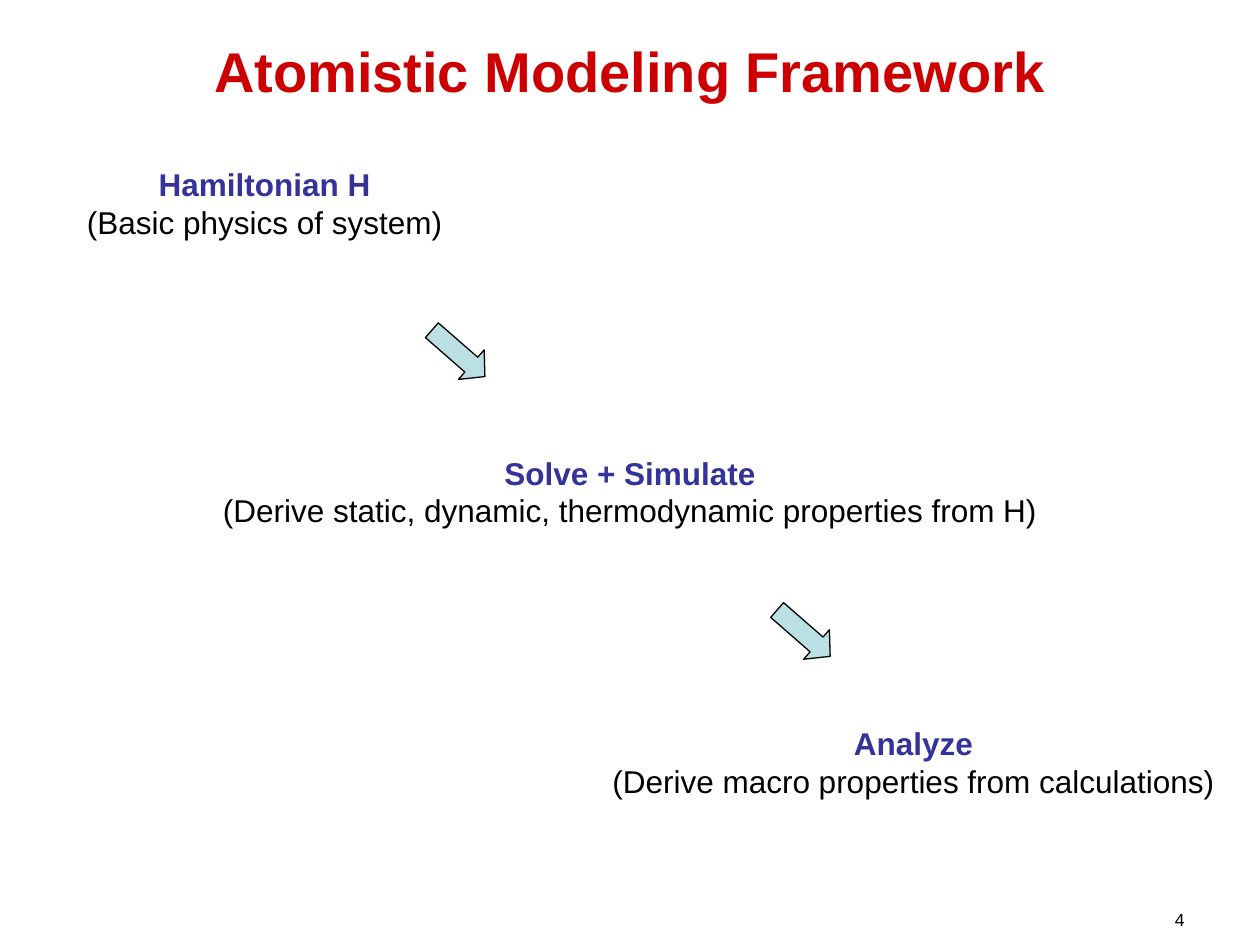
from dataclasses import dataclass

from pptx import Presentation
from pptx.dml.color import RGBColor
from pptx.enum.shapes import MSO_SHAPE
from pptx.enum.text import MSO_ANCHOR, MSO_AUTO_SIZE, PP_ALIGN
from pptx.slide import Slide
from pptx.text.text import _Paragraph as Paragraph
from pptx.util import Cm, Pt

RED = RGBColor(0xCC, 0x00, 0x00)
INDIGO = RGBColor(0x33, 0x33, 0x99)
BLACK = RGBColor(0x00, 0x00, 0x00)
PALE_TEAL = RGBColor(0xBB, 0xE0, 0xE3)
FONT = "Arial"
STEP_HEIGHT = 1.78


@dataclass
class Step:
    """A stage of the framework; lengths in centimetres."""
    heading: str
    detail: str
    left: float
    top: float
    width: float


@dataclass
class Arrow:
    """Top-left corner of an unrotated arrow, in centimetres."""
    left: float
    top: float


STEPS = [
    Step("Hamiltonian H", "(Basic physics of system)", 1.5, 3.2, 7.67),
    Step("Solve + Simulate",
         "(Derive static, dynamic, thermodynamic properties from H)",
         4.24, 9.02, 16.92),
    Step("Analyze", "(Derive macro properties from calculations)",
         12.09, 14.48, 12.65),
]
ARROWS = [Arrow(8.53, 6.73), Arrow(15.49, 12.37)]


def format_paragraph(paragraph: Paragraph, size: int, color: RGBColor,
                     bold: bool = False,
                     alignment: PP_ALIGN = PP_ALIGN.CENTER) -> None:
    paragraph.alignment = alignment
    for run in paragraph.runs:
        run.font.name = FONT
        run.font.size = Pt(size)
        run.font.bold = bold
        run.font.color.rgb = color


def add_title(slide: Slide, text: str) -> None:
    title = slide.shapes.title
    title.left, title.top, title.width, title.height = (
        Cm(0), Cm(0), Cm(25.4), Cm(2.84))
    title.text_frame.text = text
    title.text_frame.vertical_anchor = MSO_ANCHOR.MIDDLE
    format_paragraph(title.text_frame.paragraphs[0], 32, RED, bold=True)


def add_step(slide: Slide, step: Step) -> None:
    box = slide.shapes.add_textbox(
        Cm(step.left), Cm(step.top), Cm(step.width), Cm(STEP_HEIGHT))
    text_frame = box.text_frame
    text_frame.word_wrap = False
    text_frame.auto_size = MSO_AUTO_SIZE.SHAPE_TO_FIT_TEXT
    text_frame.text = f"{step.heading}\n{step.detail}"
    heading, detail = text_frame.paragraphs
    format_paragraph(heading, 18, INDIGO, bold=True)
    format_paragraph(detail, 18, BLACK)


def add_arrow(slide: Slide, arrow: Arrow) -> None:
    shape = slide.shapes.add_shape(
        MSO_SHAPE.RIGHT_ARROW, Cm(arrow.left), Cm(arrow.top), Cm(1.42), Cm(0.79))
    shape.rotation = 41.1
    shape.adjustments[0] = 0.5
    shape.adjustments[1] = 0.46
    shape.shadow.inherit = False
    shape.fill.solid()
    shape.fill.fore_color.rgb = PALE_TEAL
    shape.line.color.rgb = BLACK
    shape.line.width = Pt(0.75)


def add_page_number(slide: Slide, number: str) -> None:
    box = slide.shapes.add_textbox(Cm(18.2), Cm(18.19), Cm(5.93), Cm(0.68))
    box.text_frame.word_wrap = True
    box.text_frame.text = number
    format_paragraph(box.text_frame.paragraphs[0], 10, BLACK,
                     alignment=PP_ALIGN.RIGHT)


def main() -> None:
    presentation = Presentation()
    presentation.slide_width, presentation.slide_height = Cm(25.4), Cm(19.05)
    title_only = presentation.slide_layouts.get_by_name("Title Only")
    slide = presentation.slides.add_slide(title_only)

    # Title and page number
    add_title(slide, "Atomistic Modeling Framework")
    add_page_number(slide, "4")

    # Stages and the arrows between them
    for step in STEPS:
        add_step(slide, step)
    for arrow in ARROWS:
        add_arrow(slide, arrow)

    presentation.save("out.pptx")


if __name__ == "__main__":
    main()
